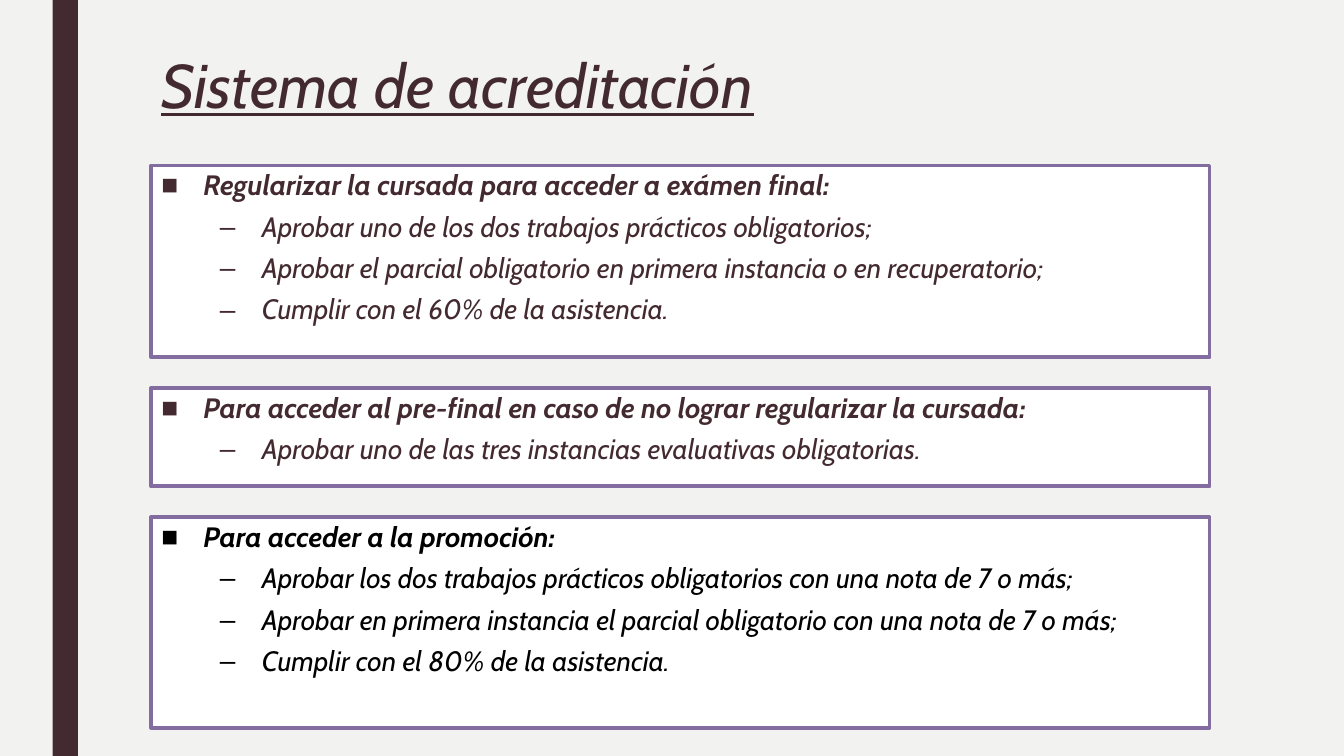
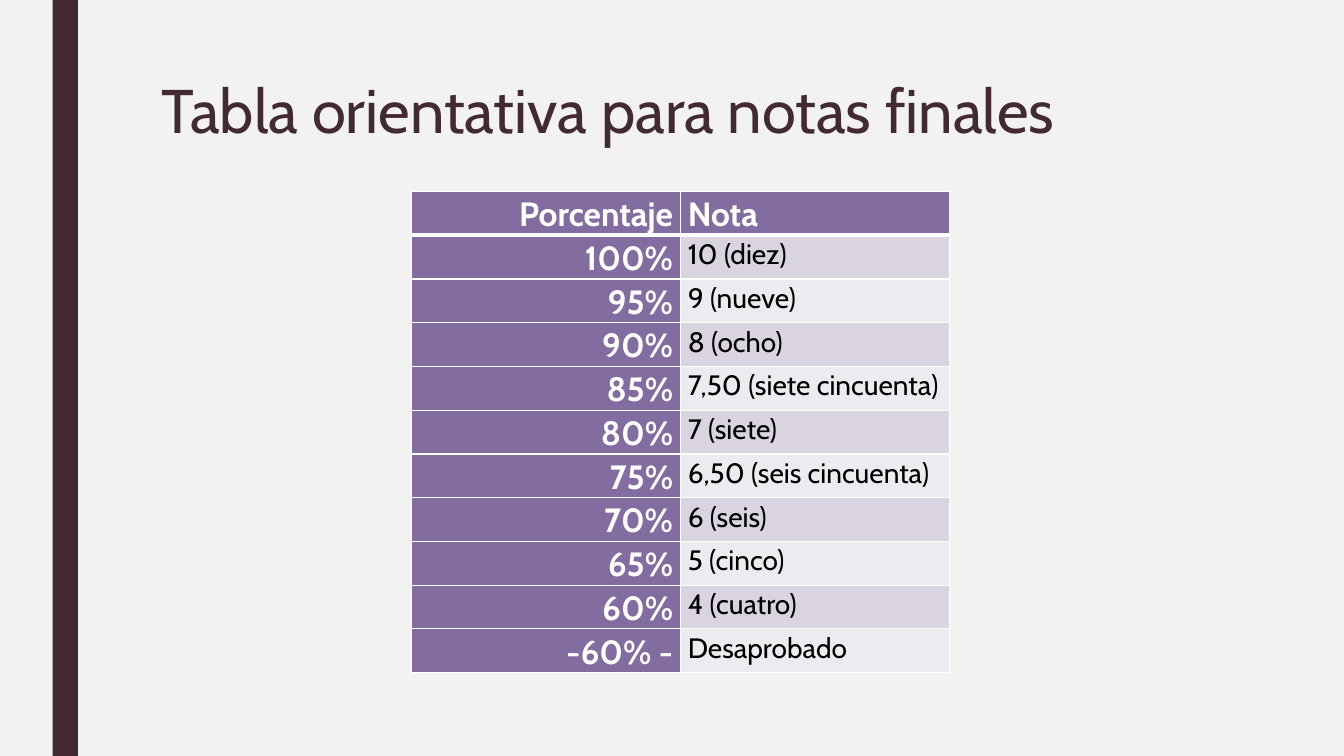
from lxml import etree
from pptx import Presentation
from pptx.dml.color import RGBColor
from pptx.enum import shapes, text
from pptx.oxml import ns
from pptx.util import Pt

FONT = "Cabin"
BACKGROUND = RGBColor(0xF2, 0xF2, 0xF0)
PLUM = RGBColor(0x43, 0x2A, 0x30)
PURPLE = RGBColor(0x83, 0x6C, 0x9F)
BLACK = RGBColor(0x00, 0x00, 0x00)
WHITE = RGBColor(0xFF, 0xFF, 0xFF)
BANDS = (RGBColor(0xD9, 0xD4, 0xDF), RGBColor(0xED, 0xEB, 0xF0))

LEFT, WIDTH = 108, 756
TITLE_HEIGHT = 80
BOXES_TOP, BOX_GAP = 118.2, 21.9
TABLE_LEFT, TABLE_TOP = 294, 136.8
COLUMN_WIDTH, ROW_HEIGHT = 192, 31.2

REQUIREMENTS = [
    (137, PLUM, "Regularizar la cursada para acceder a exámen final:", [
        "Aprobar uno de los dos trabajos prácticos obligatorios;",
        "Aprobar el parcial obligatorio en primera instancia o en recuperatorio;",
        "Cumplir con el 60% de la asistencia.",
    ]),
    (70.4, PLUM, "Para acceder al pre-final en caso de no lograr regularizar la cursada:", [
        "Aprobar uno de las tres instancias evaluativas obligatorias.",
    ]),
    (150.5, BLACK, "Para acceder a la promoción:", [
        "Aprobar los dos trabajos prácticos obligatorios con una nota de 7 o más;",
        "Aprobar en primera instancia el parcial obligatorio con una nota de 7 o más;",
        "Cumplir con el 80% de la asistencia.",
    ]),
]

GRADES = [
    ("Porcentaje", "Nota"),
    ("100%", "10 (diez)"),
    ("95%", "9 (nueve)"),
    ("90%", "8 (ocho)"),
    ("85%", "7,50 (siete cincuenta)"),
    ("80%", "7 (siete)"),
    ("75%", "6,50 (seis cincuenta)"),
    ("70%", "6 (seis)"),
    ("65%", "5 (cinco)"),
    ("60%", "4 (cuatro)"),
    ("-60% -", "Desaprobado"),
]


def add_run(paragraph, words, size, color, bold=False, italic=False, underline=False):
    run = paragraph.add_run()
    run.text = words
    font = run.font
    font.name, font.size = FONT, Pt(size)
    font.bold, font.italic, font.underline = bold, italic, underline
    font.color.rgb = color


def add_rectangle(slide, left, top, width, height, fill):
    shape = slide.shapes.add_shape(
        shapes.MSO_SHAPE.RECTANGLE, Pt(left), Pt(top), Pt(width), Pt(height))
    shape.shadow.inherit = False
    shape.fill.solid()
    shape.fill.fore_color.rgb = fill
    shape.line.fill.background()
    return shape


def set_background(presentation):
    fill = presentation.slide_master.background.fill
    fill.solid()
    fill.fore_color.rgb = BACKGROUND


def add_titled_slide(presentation, words, top, emphasis=False):
    slide = presentation.slides.add_slide(presentation.slide_layouts[5])
    add_rectangle(slide, 37.6, 0, 18, 540, PLUM)
    title = slide.shapes.title
    title.left, title.top = Pt(LEFT), Pt(top)
    title.width, title.height = Pt(WIDTH), Pt(TITLE_HEIGHT)
    frame = title.text_frame
    frame.auto_size = text.MSO_AUTO_SIZE.NONE
    frame.vertical_anchor = text.MSO_ANCHOR.TOP
    paragraph = frame.paragraphs[0]
    paragraph.alignment = text.PP_ALIGN.LEFT
    paragraph.line_spacing = 0.89
    add_run(paragraph, words, 44, PLUM, italic=emphasis, underline=emphasis)
    return slide


def set_bullet(paragraph, character, indent):
    properties = paragraph._p.get_or_add_pPr()
    properties.set("marL", str(Pt(indent)))
    properties.set("indent", str(Pt(-30)))
    etree.SubElement(properties, ns.qn("a:buFont")).set("typeface", "Arial")
    etree.SubElement(properties, ns.qn("a:buChar")).set("char", character)


def add_bullet(paragraph, words, color, level):
    paragraph.level = level
    paragraph.alignment = text.PP_ALIGN.LEFT
    paragraph.line_spacing = 0.94
    paragraph.space_before = Pt(5 if level else 10)
    paragraph.space_after = Pt(2)
    set_bullet(paragraph, "–" if level else "■", 72 if level else 30.2)
    add_run(paragraph, words, 20, color, bold=level == 0, italic=True)


def add_requirement_box(slide, top, height, color, heading, conditions):
    box = add_rectangle(slide, LEFT, top, WIDTH, height, WHITE)
    box.line.color.rgb = PURPLE
    box.line.width = Pt(2.75)
    frame = box.text_frame
    frame.word_wrap = True
    frame.vertical_anchor = text.MSO_ANCHOR.TOP
    add_bullet(frame.paragraphs[0], heading, color, 0)
    for condition in conditions:
        add_bullet(frame.add_paragraph(), condition, color, 1)


def set_borders(cell, top, bottom):
    properties = cell._tc.get_or_add_tcPr()
    for side, width in (("L", 1), ("R", 1), ("T", top), ("B", bottom)):
        line = etree.SubElement(properties, ns.qn(f"a:ln{side}"), w=str(Pt(width)))
        fill = etree.SubElement(line, ns.qn("a:solidFill"))
        etree.SubElement(fill, ns.qn("a:srgbClr"), val=str(WHITE))


def fill_cell(cell, words, row, column):
    strong = row == 0 or column == 0
    cell.margin_left = cell.margin_right = Pt(5.3)
    cell.margin_top = cell.margin_bottom = 0
    set_borders(cell, 3 if row == 1 else 1, 3 if row == 0 else 1)
    cell.fill.solid()
    cell.fill.fore_color.rgb = PURPLE if strong else BANDS[(row - 1) % 2]
    paragraph = cell.text_frame.paragraphs[0]
    paragraph.alignment = text.PP_ALIGN.LEFT if column else text.PP_ALIGN.RIGHT
    paragraph.line_spacing = 1.07
    add_run(paragraph, words, 24 if strong else 20, WHITE if strong else BLACK, bold=strong)


def add_grade_table(slide):
    table = slide.shapes.add_table(
        len(GRADES), 2, Pt(TABLE_LEFT), Pt(TABLE_TOP),
        Pt(2 * COLUMN_WIDTH), Pt(len(GRADES) * ROW_HEIGHT)).table
    table.horz_banding = False
    for row, grade in enumerate(GRADES):
        for column, words in enumerate(grade):
            fill_cell(table.cell(row, column), words, row, column)


def main():
    presentation = Presentation()
    presentation.slide_width, presentation.slide_height = Pt(960), Pt(540)
    set_background(presentation)

    slide = add_titled_slide(presentation, "Sistema de acreditación", 36, emphasis=True)
    top = BOXES_TOP
    for height, color, heading, conditions in REQUIREMENTS:
        add_requirement_box(slide, top, height, color, heading, conditions)
        top += height + BOX_GAP

    slide = add_titled_slide(presentation, "Tabla orientativa para notas finales", 54)
    add_grade_table(slide)

    presentation.save("out.pptx")


if __name__ == "__main__":
    main()
